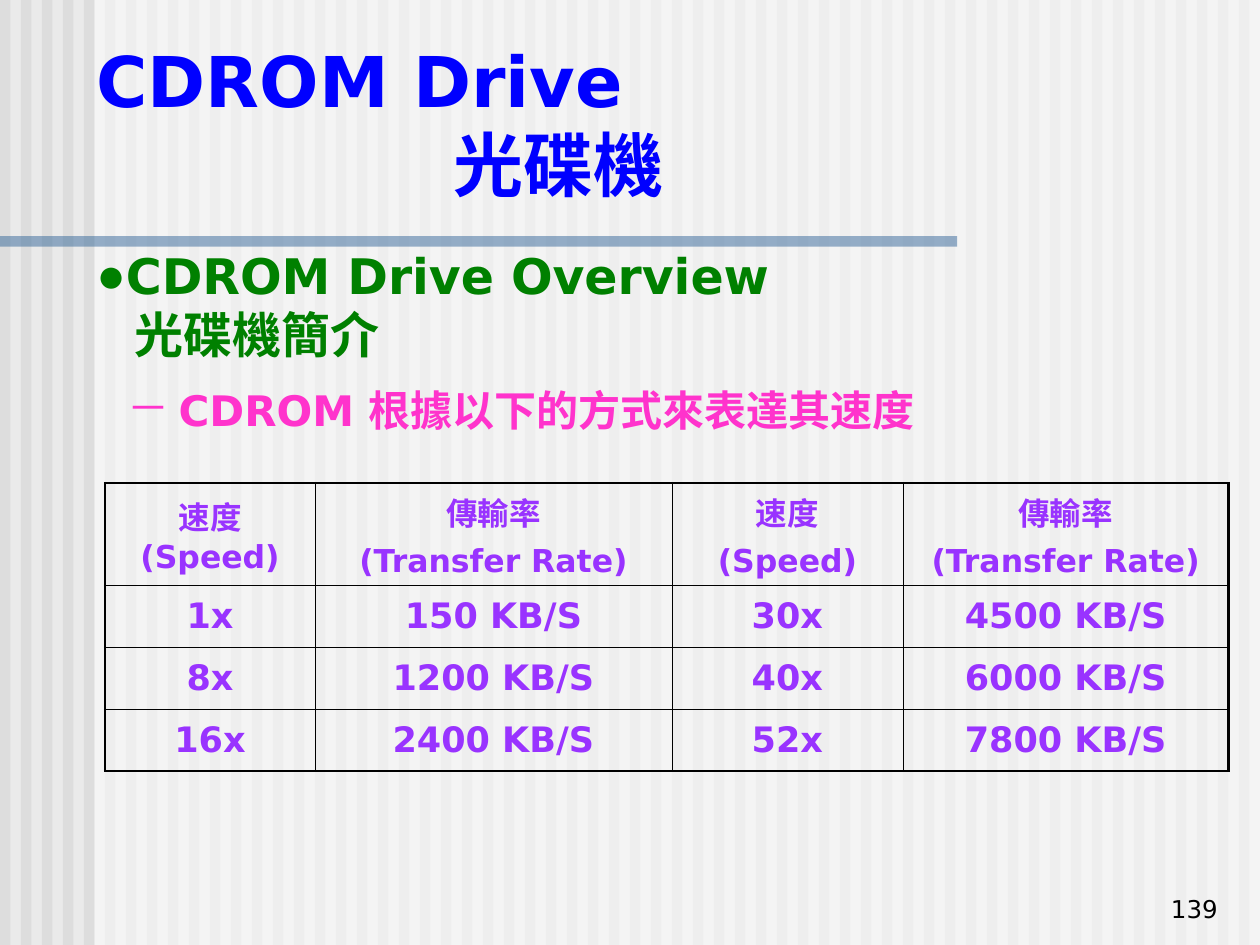
from lxml import etree
from pptx import Presentation
from pptx.dml.color import RGBColor
from pptx.enum import shapes, text
from pptx.oxml import ns
from pptx.util import Pt

FONT = "DejaVu Sans"
WIDE, HIGH = 720, 540

# Each line: text, left indent, bullet, bullet font
TITLE = [("CDROM Drive", 0, "", ""), ("光碟機", 204, "", "")]
TOPIC = [("CDROM Drive Overview", 16, "●", "Arial"),
         ("光碟機簡介", 22, "", "")]
POINT = [("CDROM 根據以下的方式來表達其速度", 29, "－", FONT)]
PAGE = [("139", 0, "", "")]

ROWS = [
    ("速度(Speed)", "傳輸率\n(Transfer Rate)", "速度\n(Speed)", "傳輸率\n(Transfer Rate)"),
    ("1x", "150 KB/S", "30x", "4500 KB/S"),
    ("8x", "1200 KB/S", "40x", "6000 KB/S"),
    ("16x", "2400 KB/S", "52x", "7800 KB/S"),
]
COLS = [120, 204, 132, 186]
HEAD, BODY = 55.2, 35.3
THIN, THICK = 0.45, 1.47


def rgb(code):
    return RGBColor.from_string(code)


def sub(node, tag, **attrs):
    return etree.SubElement(node, ns.qn(tag), attrs)


def bar(group, left, top, wide, high, color, alpha=None):
    rect = group.shapes.add_shape(shapes.MSO_SHAPE.RECTANGLE,
                                  Pt(left), Pt(top), Pt(wide), Pt(high))
    rect.shadow.inherit = False
    rect.fill.solid()
    rect.fill.fore_color.rgb = rgb(color)
    rect.line.fill.background()
    if alpha:
        tint = rect.fill._xPr.find(".//" + ns.qn("a:srgbClr"))
        sub(tint, "a:alpha", val=str(alpha * 1000))


def style(para, size, color, bold):
    for run in para.runs:
        font = run.font
        font.name, font.size, font.bold = FONT, Pt(size), bold
        font.color.rgb = rgb(color)


def write(box, place, lines, size, color, bold=True,
          align=text.PP_ALIGN.LEFT, anchor=text.MSO_ANCHOR.TOP):
    box.left, box.top, box.width, box.height = map(Pt, place)
    frame = box.text_frame
    frame.word_wrap = True
    frame.auto_size = text.MSO_AUTO_SIZE.NONE
    frame.vertical_anchor = anchor
    frame.text = "\n".join(line[0] for line in lines)
    for para, (_, left, mark, face) in zip(frame.paragraphs, lines):
        props = para._p.get_or_add_pPr()
        props.set("marL", str(Pt(left)))
        props.set("indent", str(-Pt(left) if mark else 0))
        if mark:
            sub(props, "a:buFont", typeface=face)
            sub(props, "a:buChar", char=mark)
        para.alignment = align
        style(para, size, color, bold)


def edge(cell, side, width):
    line = sub(cell._tc.get_or_add_tcPr(), "a:ln" + side, w=str(Pt(width)))
    sub(sub(line, "a:solidFill"), "a:srgbClr", val="000000")


def fill_cell(cell, words, row, col):
    last, end = len(ROWS) - 1, len(COLS) - 1
    outer = {"L": col == 0, "R": col == end, "T": row == 0, "B": row == last}
    for side, out in outer.items():
        edge(cell, side, THICK if out else THIN)
    cell.fill.background()
    cell.vertical_anchor = text.MSO_ANCHOR.MIDDLE
    cell.text = words
    for i, para in enumerate(cell.text_frame.paragraphs):
        para.alignment = text.PP_ALIGN.CENTER
        para.space_before = Pt(4.5 if i else 0)
        style(para, 20 if row else 18, "9933FF", True)


def main():
    prs = Presentation()
    prs.slide_width, prs.slide_height = Pt(WIDE), Pt(HIGH)
    slide = prs.slides.add_slide(prs.slide_layouts[5])
    slide.background.fill.solid()
    slide.background.fill.fore_color.rgb = rgb("EAEAEA")

    decor = slide.shapes.add_group_shape()
    for left in range(0, WIDE, 12):
        bar(decor, left, 0, 6, HIGH, "DDDDDD")
    bar(decor, 54, 0, WIDE - 54, HIGH, "FFFFFF", 50)
    bar(decor, 0, 135, 547, 6, "336699", 50)

    title = slide.shapes.title
    slide.shapes._spTree.append(title._element)  # bring above the stripes
    write(title, (48, 18, 630, 104), TITLE, 40, "0000FF")

    def box():
        return slide.shapes.add_textbox(0, 0, 0, 0)

    write(box(), (48, 137, 636, 75), TOPIC, 28, "008000")
    write(box(), (66, 216, 630, 36), POINT, 24, "FF33CC")

    table = slide.shapes.add_table(
        len(ROWS), len(COLS), Pt(60), Pt(276), Pt(sum(COLS)),
        Pt(HEAD + BODY * (len(ROWS) - 1))).table
    table.first_row = table.horz_banding = False
    for col, wide in zip(table.columns, COLS):
        col.width = Pt(wide)
    for r, row in enumerate(ROWS):
        table.rows[r].height = Pt(BODY if r else HEAD)
        for c, words in enumerate(row):
            fill_cell(table.cell(r, c), words, r, c)

    write(box(), (553, 495, 150, 36), PAGE, 14, "000000", False,
          text.PP_ALIGN.RIGHT, text.MSO_ANCHOR.BOTTOM)
    prs.save("out.pptx")


if __name__ == "__main__":
    main()
